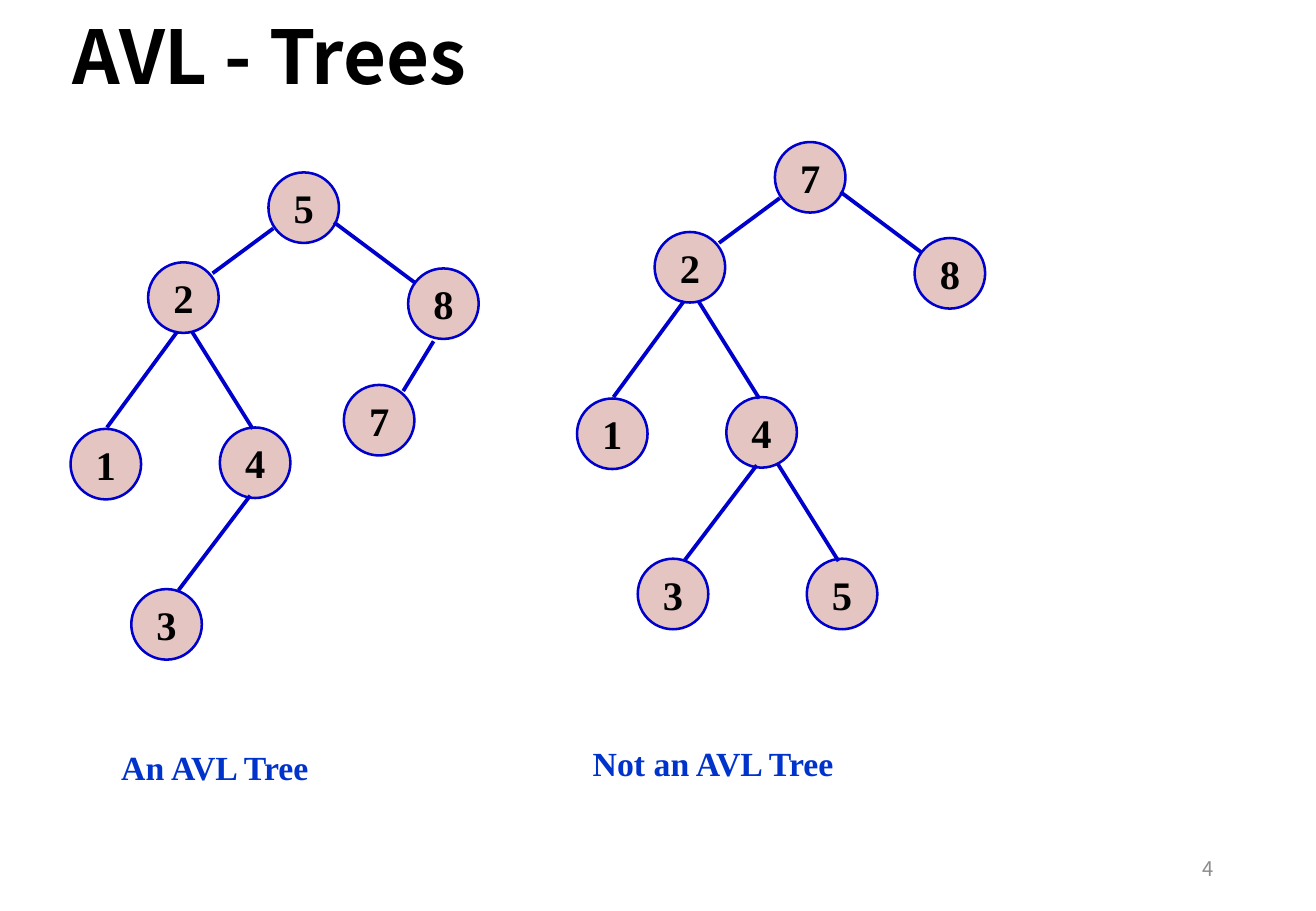
import pptx
import pptx.dml.color
import pptx.enum.shapes
import pptx.enum.text
import pptx.oxml.ns
import pptx.util
from lxml import etree

Pt = pptx.util.Pt
ALIGN = pptx.enum.text.PP_ALIGN
MIDDLE = pptx.enum.text.MSO_ANCHOR.MIDDLE

COLORS = {"text": "000000", "node": "E4C5C2", "edge": "0000CC",
          "caption": "0033CC", "number": "8C8C8C"}
SANS, SERIF = "Noto Sans CJK SC", "Times New Roman"
NODE_SIZE = 41.8

# Both trees share these places; each node is key: (left, top)
SHARED_NODES = {"root": (159.1, 102.2), "left": (87.8, 155.5),
                "right": (241.9, 159.1), "left-left": (41.8, 254.2),
                "left-right": (130.3, 253.4), "lowest": (77.8, 349.2)}
SHARED_EDGES = [((126, 162), (162, 135.4)), ((246.2, 167.8), (198, 131.8)),
                ((63.4, 253.4), (105.1, 196.6)), ((149.8, 254.2), (113.8, 196.6)),
                ((105.8, 349.9), (148.3, 293.8))]

# The extra node and edge are what sets the trees apart
TREES = [
    {"offset": (0, 0),
     "keys": {"root": "5", "left": "2", "right": "8", "left-left": "1",
              "left-right": "4", "lowest": "3", "extra": "7"},
     "extra": (203.8, 228.2), "extra_edge": ((239, 231.8), (257, 202.3)),
     "caption": ("An AVL Tree", 64.8, 439.2, 132.5)},
    {"offset": (300.2, -18),
     "keys": {"root": "7", "left": "2", "right": "8", "left-left": "1",
              "left-right": "4", "lowest": "3", "extra": "5"},
     "extra": (178, 349.2), "extra_edge": ((196.8, 350.6), (160.8, 293)),
     "caption": ("Not an AVL Tree", 344.2, 437, 164.2)},
]


def rgb(name):
    return pptx.dml.color.RGBColor.from_string(COLORS[name])


def write(frame, text, size, face, color, bold=True, align=ALIGN.LEFT):
    frame.text = text
    paragraph = frame.paragraphs[0]
    paragraph.alignment = align
    font = paragraph.font
    font.size, font.name, font.bold = Pt(size), face, bold
    font.color.rgb = rgb(color)
    return paragraph


def add_title(slide, text):
    title = slide.shapes.title
    title.left, title.top = Pt(36), Pt(5.8)
    title.width, title.height = Pt(570.2), Pt(59.8)
    title.text_frame.vertical_anchor = MIDDLE
    title.text_frame.auto_size = pptx.enum.text.MSO_AUTO_SIZE.NONE
    write(title.text_frame, text, 44, SANS, "text").line_spacing = 0.9


def add_node(slide, key, left, top):
    node = slide.shapes.add_shape(pptx.enum.shapes.MSO_SHAPE.OVAL, Pt(left), Pt(top),
                                  Pt(NODE_SIZE), Pt(NODE_SIZE))
    node.shadow.inherit = False
    node.fill.solid()
    node.fill.fore_color.rgb = rgb("node")
    node.line.color.rgb = rgb("edge")
    node.line.width = Pt(1.5)
    node.text_frame.word_wrap = False
    node.text_frame.vertical_anchor = MIDDLE
    write(node.text_frame, key, 24, SERIF, "text", align=ALIGN.CENTER)


def add_edge(slide, start, end):
    edge = slide.shapes.add_connector(pptx.enum.shapes.MSO_CONNECTOR.STRAIGHT,
                                      *(Pt(value) for value in (*start, *end)))
    edge.line.color.rgb = rgb("edge")
    edge.line.width = Pt(2.25)
    etree.SubElement(edge._element.spPr, pptx.oxml.ns.qn("a:effectLst"))


def add_caption(slide, text, left, top, width):
    caption = slide.shapes.add_textbox(Pt(left), Pt(top), Pt(width), Pt(31))
    caption.text_frame.word_wrap = False
    caption.text_frame.auto_size = pptx.enum.text.MSO_AUTO_SIZE.SHAPE_TO_FIT_TEXT
    write(caption.text_frame, text, 20, SERIF, "caption")


def add_page_number(slide, text):
    number = slide.shapes.add_textbox(Pt(550.8), Pt(500.4), Pt(175.7), Pt(28.8))
    number.text_frame.word_wrap = True
    number.text_frame.vertical_anchor = MIDDLE
    write(number.text_frame, text, 12, SANS, "number", bold=False, align=ALIGN.RIGHT)


def add_tree(slide, tree):
    dx, dy = tree["offset"]
    places = {**SHARED_NODES, "extra": tree["extra"]}
    for place, (left, top) in places.items():
        add_node(slide, tree["keys"][place], left + dx, top + dy)
    for (x1, y1), (x2, y2) in [*SHARED_EDGES, tree["extra_edge"]]:
        add_edge(slide, (x1 + dx, y1 + dy), (x2 + dx, y2 + dy))
    add_caption(slide, *tree["caption"])


def main():
    deck = pptx.Presentation()
    deck.slide_width, deck.slide_height = Pt(780), Pt(540)
    slide = deck.slides.add_slide(deck.slide_layouts.get_by_name("Title Only"))

    # Heading and page number
    add_title(slide, "AVL - Trees")
    add_page_number(slide, "4")

    # The two trees with their captions
    for tree in TREES:
        add_tree(slide, tree)

    deck.save("out.pptx")


if __name__ == "__main__":
    main()
